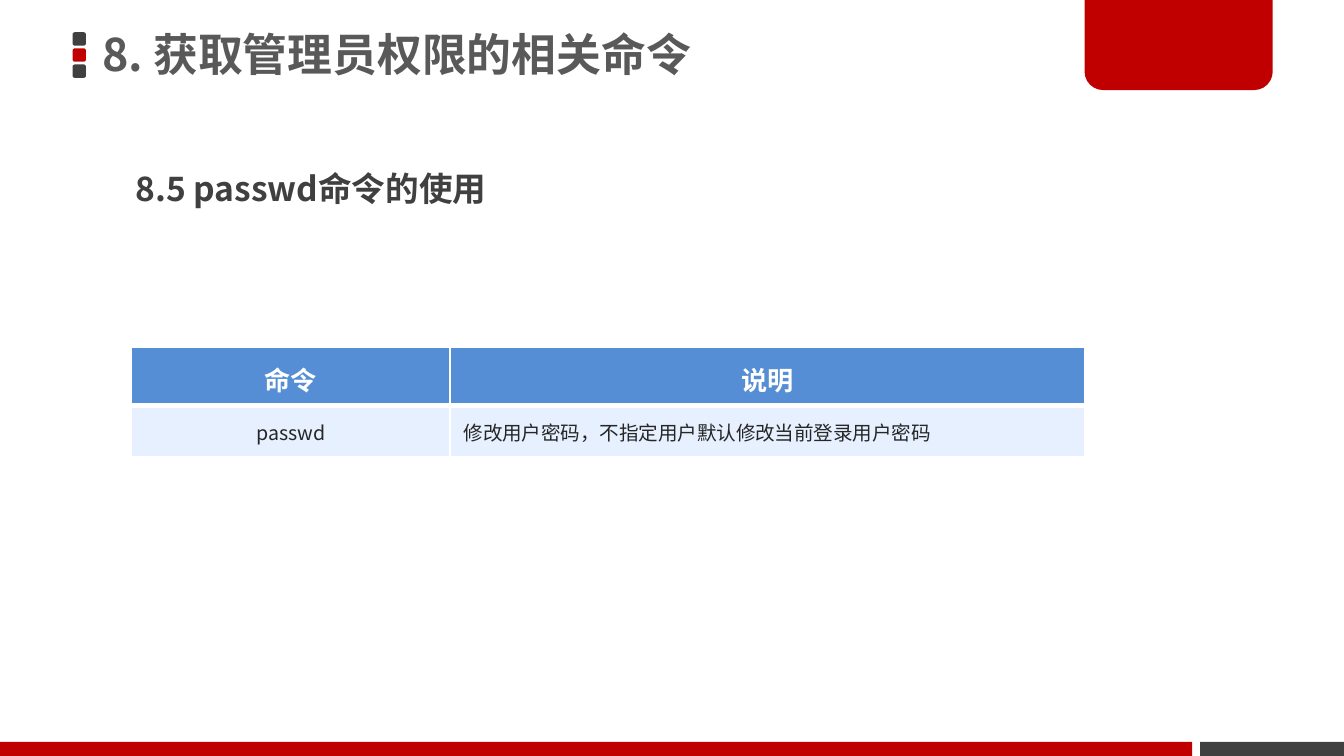
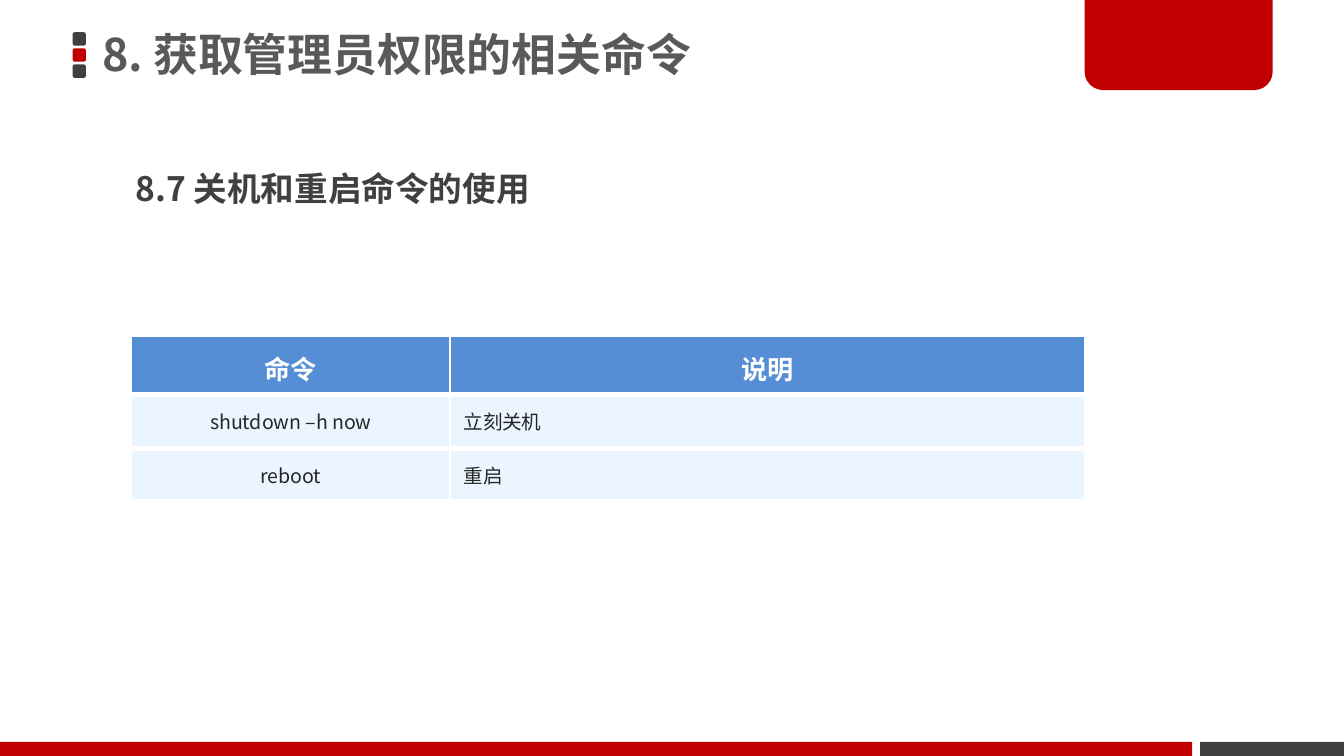
from dataclasses import dataclass

from lxml.etree import SubElement
from pptx import Presentation
from pptx.dml.color import RGBColor
from pptx.enum.shapes import MSO_SHAPE
from pptx.enum.text import MSO_ANCHOR, MSO_AUTO_SIZE, PP_ALIGN
from pptx.oxml.ns import qn
from pptx.util import Inches, Pt


@dataclass(frozen=True)
class Theme:
    font: str = "Noto Sans CJK SC"
    red: str = "C00000"
    dark: str = "404040"
    title: str = "595959"
    body: str = "262626"
    white: str = "FFFFFF"
    header: str = "558ED5"
    title_size: float = 24
    heading_size: float = 18
    header_size: float = 14
    body_size: float = 10.5


THEME = Theme()


def write(tf, text, size, color, bold=False, align=PP_ALIGN.LEFT, spacing=None):
    p = tf.paragraphs[0]
    p.alignment = align
    p.line_spacing = spacing
    r = p.add_run()
    r.text = text
    r.font.name = THEME.font
    r.font.size = Pt(size)
    r.font.bold = bold
    r.font.color.rgb = RGBColor.from_string(color)
    SubElement(r.font._element, qn("a:ea"), typeface=THEME.font)


class Deck:
    def __init__(self, theme):
        self.theme = theme
        self.prs = Presentation()
        self.prs.slide_width = Inches(10)
        self.prs.slide_height = Inches(10) * 9 // 16
        self.s = None

    def shape(self, kind, x, y, w, h, color, adjustments=(), parent=None):
        shapes = (parent or self.s).shapes
        sp = shapes.add_shape(kind, x, y, w, h)
        sp.shadow.inherit = False
        sp.fill.solid()
        sp.fill.fore_color.rgb = RGBColor.from_string(color)
        sp.line.fill.background()
        for i, value in enumerate(adjustments):
            sp.adjustments[i] = value

    def text(self, text, x, y, w, h, anchor=MSO_ANCHOR.TOP, insets=(0.1, 0.05), grow=False, **style):
        tf = self.s.shapes.add_textbox(x, y, w, h).text_frame
        tf.word_wrap = True
        tf.auto_size = MSO_AUTO_SIZE.SHAPE_TO_FIT_TEXT if grow else MSO_AUTO_SIZE.NONE
        tf.vertical_anchor = anchor
        tf.margin_left = tf.margin_right = Inches(insets[0])
        tf.margin_top = tf.margin_bottom = Inches(insets[1])
        write(tf, text, **style)

    def frame(self):
        t = self.theme
        dots = self.s.shapes.add_group_shape()
        for i, color in enumerate((t.dark, t.red, t.dark)):
            self.shape(MSO_SHAPE.ROUNDED_RECTANGLE, Inches(0.54), Inches(0.24 + 0.12 * i),
                       Inches(0.1), Inches(0.1), color, (0.17,), dots)
        self.shape(MSO_SHAPE.ROUND_2_SAME_RECTANGLE, Inches(8.07), Inches(-0.02),
                   Inches(1.4), Inches(0.69), t.red, (0, 0.2))
        top = Inches(5.52)
        height = self.prs.slide_height - top
        for x, w, color in ((8.93, 1.07, t.dark), (0, 8.87, t.red)):
            self.shape(MSO_SHAPE.RECTANGLE, Inches(x), top, Inches(w), height, color)

    def slide(self, title, heading):
        t = self.theme
        self.s = self.prs.slides.add_slide(self.prs.slide_layouts[6])
        self.frame()
        self.text(title, Inches(0.69), Inches(-0.02), Inches(5.89), Inches(0.89),
                  anchor=MSO_ANCHOR.MIDDLE, insets=(0.07, 0.04),
                  size=t.title_size, color=t.title, bold=True, spacing=0.9)
        self.text(heading, Inches(0.91), Inches(1.05), Inches(3.84), Inches(0.56), grow=True,
                  size=t.heading_size, color=t.dark, bold=True, spacing=1.5)

    def borders(self, cell, top):
        tc_pr = cell._tc.get_or_add_tcPr()
        for side, width in (("L", 1), ("R", 1), ("T", top), ("B", 3)):
            ln = SubElement(tc_pr, qn(f"a:ln{side}"), w=str(Pt(width)))
            fill = SubElement(ln, qn("a:solidFill"))
            SubElement(fill, qn("a:srgbClr"), val=self.theme.white)

    def table(self, y, rows, body_fill):
        t = self.theme
        widths = (Inches(2.37), Inches(4.72))
        heights = [Inches(0.39)] + [Inches(0.4)] * (len(rows) - 1)
        table = self.s.shapes.add_table(len(rows), len(widths), Inches(0.98), y,
                                        sum(widths), sum(heights)).table
        table.horz_banding = False
        for column, width in zip(table.columns, widths):
            column.width = width
        for i, (row, height) in enumerate(zip(rows, heights)):
            table.rows[i].height = height
            for j, text in enumerate(row):
                cell = table.cell(i, j)
                head = i == 0
                self.borders(cell, 1 if head else 3)
                cell.fill.solid()
                cell.fill.fore_color.rgb = RGBColor.from_string(t.header if head else body_fill)
                cell.vertical_anchor = MSO_ANCHOR.TOP if head else MSO_ANCHOR.MIDDLE
                write(cell.text_frame, text,
                      size=t.header_size if head else t.body_size,
                      color=t.white if head else t.body, bold=head,
                      align=PP_ALIGN.CENTER if head or j == 0 else PP_ALIGN.LEFT,
                      spacing=Pt(24) if head else None)


def main():
    deck = Deck(THEME)
    title = "8. 获取管理员权限的相关命令"
    header = ("命令", "说明")

    deck.slide(title, "8.5 passwd命令的使用")
    deck.table(Inches(2.58), [
        header,
        ("passwd", "修改用户密码，不指定用户默认修改当前登录用户密码"),
    ], "E6F0FF")

    deck.slide(title, "8.7 关机和重启命令的使用")
    deck.table(Inches(2.5), [
        header,
        ("shutdown –h now", "立刻关机"),
        ("reboot", "重启"),
    ], "EBF5FF")

    deck.prs.save("out.pptx")


if __name__ == "__main__":
    main()
